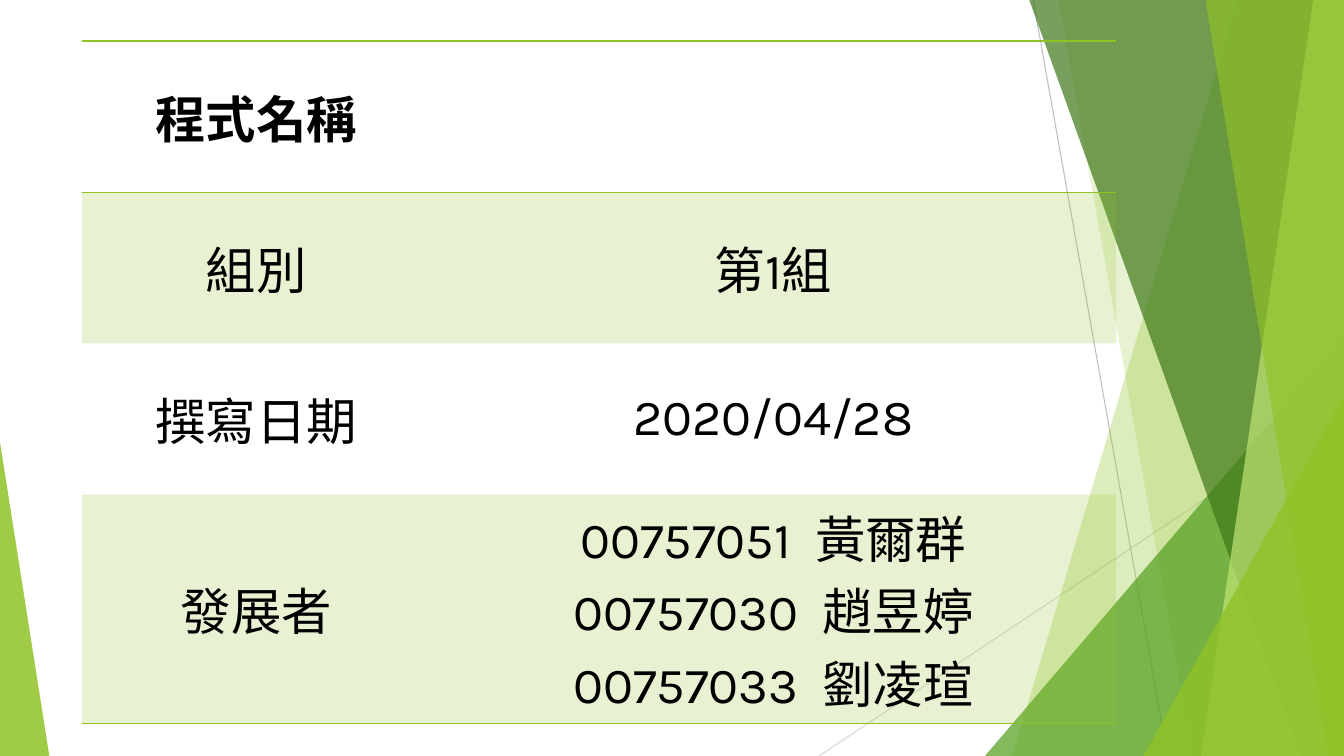
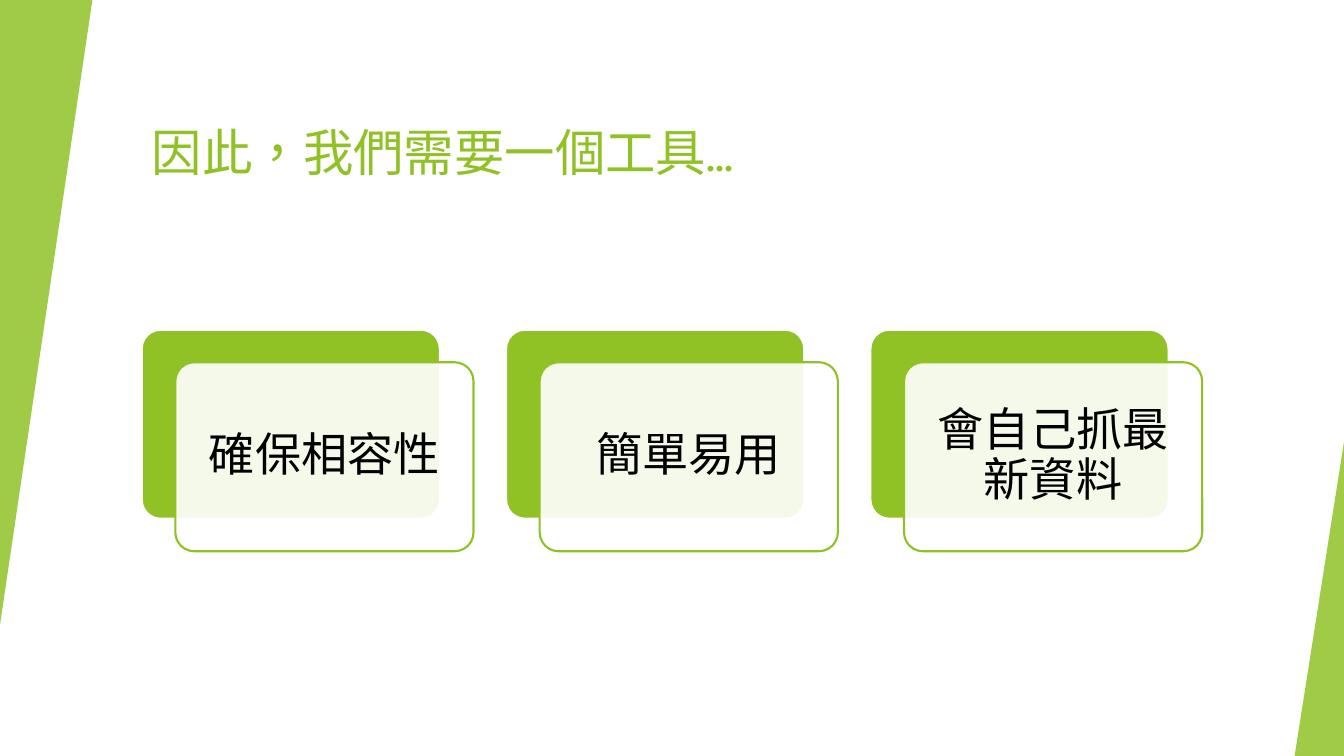
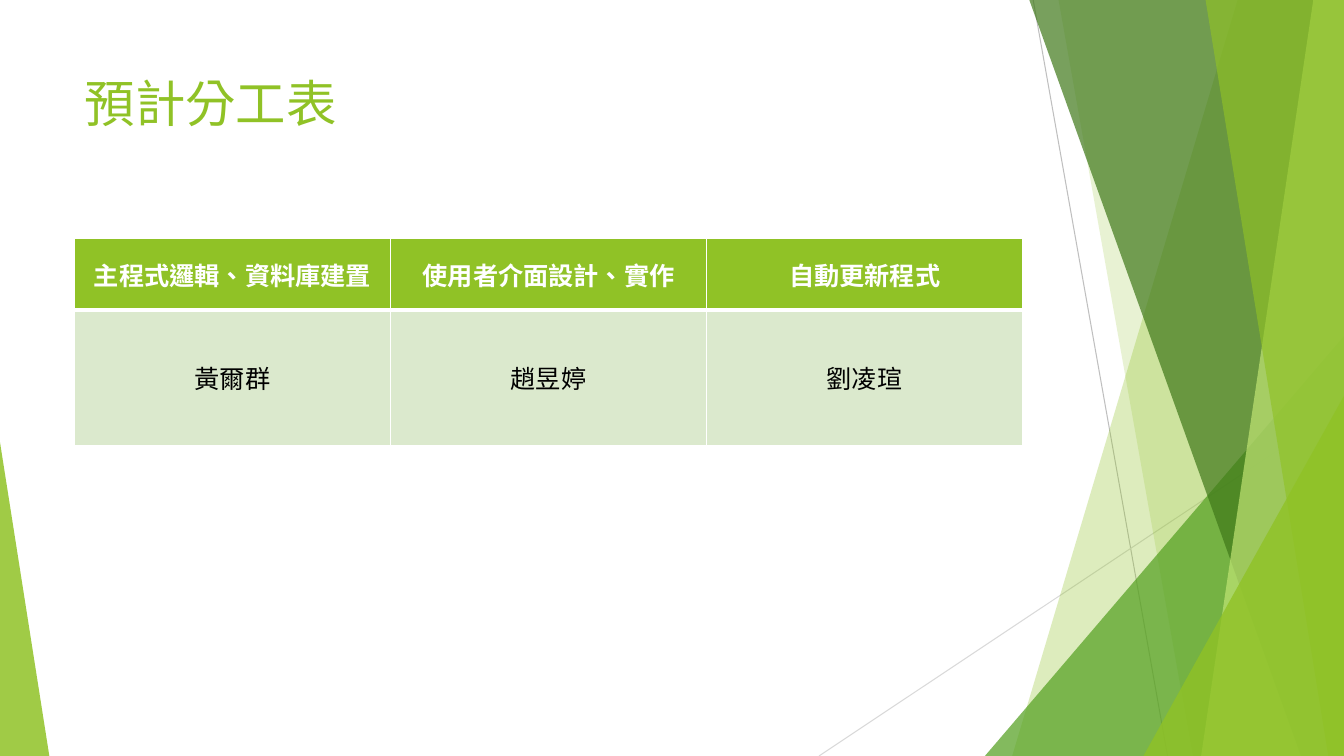
"""Build a three-slide project deck with a green faceted theme."""
from dataclasses import dataclass, field
from typing import Any

import lxml.etree
import pptx
import pptx.dml.color
import pptx.dml.fill
import pptx.enum.shapes
import pptx.enum.text
import pptx.oxml.ns
import pptx.shapes.autoshape
import pptx.shapes.base
import pptx.slide
import pptx.table
import pptx.text.text
import pptx.util

SCALE = 9525
WIDTH, HEIGHT = 1280, 720
GREEN, PALE, WHITE, BLACK = "90C226", "DBE9CD", "FFFFFF", "000000"
LATIN, HAN = "Karla", "Noto Sans CJK JP"
NO_STYLE = "{2D5ABB26-0587-4C30-8999-92F81FD0307C}"
Shapes = pptx.enum.shapes.MSO_SHAPE
Anchor = pptx.enum.text.MSO_ANCHOR
Align = pptx.enum.text.PP_ALIGN


@dataclass(frozen=True)
class Box:
    left: int
    top: int
    width: int
    height: int


@dataclass(frozen=True)
class Facet:
    top_left: int
    bottom_left: int
    color: str
    opacity: int


@dataclass(frozen=True)
class Triangle:
    box: Box
    apex: int
    color: str
    opacity: int
    rotation: int = 0


@dataclass(frozen=True)
class Ray:
    begin: tuple[int, int]
    end: tuple[int, int]
    color: str


@dataclass(frozen=True)
class Style:
    size: int
    color: str = BLACK
    bold: bool = False
    latin: str = LATIN
    align: Any = Align.CENTER
    spacing: float = 1.0


@dataclass(frozen=True)
class RowLook:
    height: int
    texts: tuple[str, ...]
    style: Style
    fill: str = ""
    opacity: int = 100
    borders: dict[str, tuple[str, int]] = field(default_factory=dict)


RAYS = (
    Ray((984, 0), (1112, HEIGHT), "BFBFBF"),
    Ray((WIDTH, 387), (780, HEIGHT), "D9D9D9"),
)
FACETS = (
    Facet(1179, 964, GREEN, 30),
    Facet(1008, 1136, GREEN, 20),
    Triangle(Box(938, 320, 342, 400), 1, "54A021", 72),
    Facet(980, 1239, "3F7819", 70),
    Facet(1251, 1144, "C0E474", 70),
    Facet(1148, 1265, GREEN, 65),
    Triangle(Box(1089, 377, 191, 343), 1, GREEN, 80),
    Triangle(Box(0, 421, 47, 299), 0, GREEN, 85),
)
SIDE_TRIANGLES = (
    Triangle(Box(0, 0, 88, 595), 1, GREEN, 85, 180),
    Triangle(Box(1233, 421, 47, 299), 1, GREEN, 85),
)
BODY = Style(36)
CARD_TEXT = Style(33, spacing=0.9)
RULE = (GREEN, 1)
THIN = {side: (WHITE, 1) for side in "LRTB"}
INFO_ROWS = (
    RowLook(144, ("程式名稱", ""), Style(36, bold=True), borders={"T": RULE, "B": RULE}),
    RowLook(144, ("組別", "第1組"), BODY, GREEN, 20, {"T": RULE}),
    RowLook(144, ("撰寫日期", "2020/04/28"), BODY),
    RowLook(209, ("發展者", "00757051  黃爾群\n00757030  趙昱婷\n00757033  劉凌瑄"),
            BODY, GREEN, 20, {"B": RULE}),
)
WORK_ROWS = (
    RowLook(68, ("主程式邏輯、資料庫建置", "使用者介面設計、實作", "自動更新程式"),
            Style(18, WHITE, True), GREEN, borders=THIN | {"B": (WHITE, 3)}),
    RowLook(129, ("黃爾群", "趙昱婷", "劉凌瑄"),
            Style(18, latin=HAN), PALE, borders=THIN | {"T": (WHITE, 3)}),
)
CARDS = ("確保相容性", "簡單易用", "會自己抓最新資料")


def px(length: int) -> int:
    """Turn px into EMU."""
    return pptx.util.Emu(length * SCALE)


def rgb(color: str) -> pptx.dml.color.RGBColor:
    """Turn a hex string into a colour."""
    return pptx.dml.color.RGBColor.from_string(color)


def assign(target: Any, values: dict[str, Any]) -> None:
    """Set each named attribute on the target."""
    for name, value in values.items():
        setattr(target, name, value)


def bounds(box: Box) -> dict[str, int]:
    """Give the EMU position and size of a box."""
    return {name: px(getattr(box, name)) for name in ("left", "top", "width", "height")}


def add_node(parent: Any, tag: str, **attributes: str) -> Any:
    """Append an XML element with a prefixed tag."""
    return lxml.etree.SubElement(parent, pptx.oxml.ns.qn(tag), attributes)


def paint(fill: pptx.dml.fill.FillFormat, owner: Any, color: str, opacity: int) -> None:
    """Fill with a colour at a percentage of opacity."""
    fill.solid()
    fill.fore_color.rgb = rgb(color)
    if opacity < 100:
        add_node(owner.xpath("./a:solidFill/a:srgbClr")[0], "a:alpha", val=str(opacity * 1000))


def finish(shape: pptx.shapes.autoshape.Shape, color: str, opacity: int = 100,
           outline: str = "") -> None:
    """Give a shape its fill and outline, without a shadow."""
    shape.shadow.inherit = False
    paint(shape.fill, shape.element.spPr, color, opacity)
    if outline:
        shape.line.color.rgb = rgb(outline)
        shape.line.width = pptx.util.Pt(1.5)
    else:
        shape.line.fill.background()


def write(frame: pptx.text.text.TextFrame, text: str, style: Style) -> None:
    """Write one paragraph for each line of text."""
    for index, line in enumerate(text.split("\n")):
        para = frame.add_paragraph() if index else frame.paragraphs[0]
        assign(para, {"alignment": style.align, "line_spacing": style.spacing})
        span = para.add_run()
        span.text = line
        assign(span.font, {"name": style.latin, "size": pptx.util.Pt(style.size),
                           "bold": style.bold})
        span.font.color.rgb = rgb(style.color)
        span.font._element.set("lang", "zh-TW")
        add_node(span.font._element, "a:ea", typeface=HAN)


def draw_ray(page: pptx.slide.Slide, ray: Ray) -> pptx.shapes.base.BaseShape:
    """Draw a thin straight line."""
    line = page.shapes.add_connector(
        pptx.enum.shapes.MSO_CONNECTOR.STRAIGHT, *map(px, ray.begin + ray.end))
    line.line.color.rgb = rgb(ray.color)
    line.line.width = pptx.util.Pt(0.75)
    add_node(line.element.spPr, "a:effectLst")
    return line


def draw_triangle(page: pptx.slide.Slide, item: Triangle) -> pptx.shapes.base.BaseShape:
    """Draw a translucent triangle."""
    shape = page.shapes.add_shape(Shapes.ISOSCELES_TRIANGLE, **bounds(item.box))
    shape.adjustments[0] = item.apex
    shape.rotation = item.rotation
    finish(shape, item.color, item.opacity)
    return shape


def draw_facet(page: pptx.slide.Slide, facet: Facet) -> pptx.shapes.base.BaseShape:
    """Draw a translucent facet that reaches the right edge."""
    outline = page.shapes.build_freeform(facet.top_left, -1, SCALE)
    outline.add_line_segments(((WIDTH, -1), (WIDTH, HEIGHT), (facet.bottom_left, HEIGHT)))
    shape = outline.convert_to_shape()
    finish(shape, facet.color, facet.opacity)
    return shape


def decorate_master(deck: Any, page: pptx.slide.Slide) -> None:
    """Draw the shared decoration and move it to the slide master."""
    decoration = [draw_ray(page, ray) for ray in RAYS]
    decoration += [draw_facet(page, item) if isinstance(item, Facet)
                   else draw_triangle(page, item) for item in FACETS]
    tree = deck.slide_master.element.cSld.spTree
    for index, shape in enumerate(decoration):
        shape.element.xpath(".//p:cNvPr")[0].set("id", str(100 + index))
        tree.insert(2 + index, shape.element)


def draw_backdrop(page: pptx.slide.Slide) -> None:
    """Draw a plain white backdrop behind the page's own shapes."""
    backdrop = page.shapes.add_shape(Shapes.RECTANGLE, **bounds(Box(0, 0, WIDTH, HEIGHT)))
    finish(backdrop, WHITE)
    page.shapes.element.insert(2, backdrop.element)


def set_title(page: pptx.slide.Slide, text: str, box: Box, anchor: Any,
              spacing: float = 1.0) -> None:
    """Place and write the title placeholder."""
    title = page.shapes.title
    assign(title, bounds(box))
    assign(title.text_frame, {"word_wrap": True, "vertical_anchor": anchor,
                              "auto_size": pptx.enum.text.MSO_AUTO_SIZE.NONE})
    write(title.text_frame, text, Style(36, GREEN, align=Align.LEFT, spacing=spacing))


def style_cell(cell: pptx.table._Cell, row: RowLook, text: str) -> None:
    """Give a cell its borders, fill and text."""
    cell.vertical_anchor = Anchor.MIDDLE
    properties = cell._tc.get_or_add_tcPr()
    for side in "LRTB":
        color, points = row.borders.get(side, ("", 0))
        line = add_node(properties, f"a:ln{side}", w=str(pptx.util.Pt(points)))
        if color:
            add_node(add_node(line, "a:solidFill"), "a:srgbClr", val=color)
        else:
            add_node(line, "a:noFill")
    if row.fill:
        paint(cell.fill, properties, row.fill, row.opacity)
    else:
        cell.fill.background()
    if text:
        write(cell.text_frame, text, row.style)


def draw_table(page: pptx.slide.Slide, left: int, top: int, widths: tuple[int, ...],
               rows: tuple[RowLook, ...]) -> None:
    """Draw a table from its column widths and rows."""
    box = Box(left, top, sum(widths), sum(row.height for row in rows))
    table = page.shapes.add_table(len(rows), len(widths), **bounds(box)).table
    assign(table, {"first_row": False, "horz_banding": False})
    table._tbl.tblPr.find(pptx.oxml.ns.qn("a:tableStyleId")).text = NO_STYLE
    for column, width in zip(table.columns, widths):
        column.width = px(width)
    for row_index, row in enumerate(rows):
        table.rows[row_index].height = px(row.height)
        for column_index, text in enumerate(row.texts):
            style_cell(table.cell(row_index, column_index), row, text)


def draw_card(page: pptx.slide.Slide, left: int, text: str) -> None:
    """Draw a green card with a translucent label card in front."""
    back, front = Box(left, 314, 284, 180), Box(left + 32, 345, 284, 180)
    for box, color, opacity, outline in ((back, GREEN, 100, WHITE), (front, WHITE, 90, GREEN)):
        card = page.shapes.add_shape(Shapes.ROUNDED_RECTANGLE, **bounds(box))
        card.adjustments[0] = 0.1
        finish(card, color, opacity, outline)
    frame = card.text_frame
    assign(frame, {"word_wrap": True, "vertical_anchor": Anchor.MIDDLE})
    assign(frame, {f"margin_{side}": px(13) for side in ("left", "top", "right", "bottom")})
    write(frame, text, CARD_TEXT)


def main() -> None:
    """Build and save the deck."""
    deck = pptx.Presentation()
    assign(deck, {"slide_width": px(WIDTH), "slide_height": px(HEIGHT)})
    title_only, blank = deck.slide_layouts[5], deck.slide_layouts[6]

    info = deck.slides.add_slide(blank)
    decorate_master(deck, info)
    draw_table(info, 78, 39, (332, 653), INFO_ROWS)

    needs = deck.slides.add_slide(title_only)
    draw_backdrop(needs)
    set_title(needs, "因此，我們需要一個工具...", Box(135, 64, 1070, 115), Anchor.BOTTOM, 0.9)
    for triangle in SIDE_TRIANGLES:
        draw_triangle(needs, triangle)
    for index, text in enumerate(CARDS):
        draw_card(needs, 135 + 347 * index, text)

    work = deck.slides.add_slide(title_only)
    set_title(work, "預計分工表", Box(71, 64, 902, 138), Anchor.TOP)
    draw_table(work, 71, 227, (301,) * 3, WORK_ROWS)

    deck.save("out.pptx")


if __name__ == "__main__":
    main()
